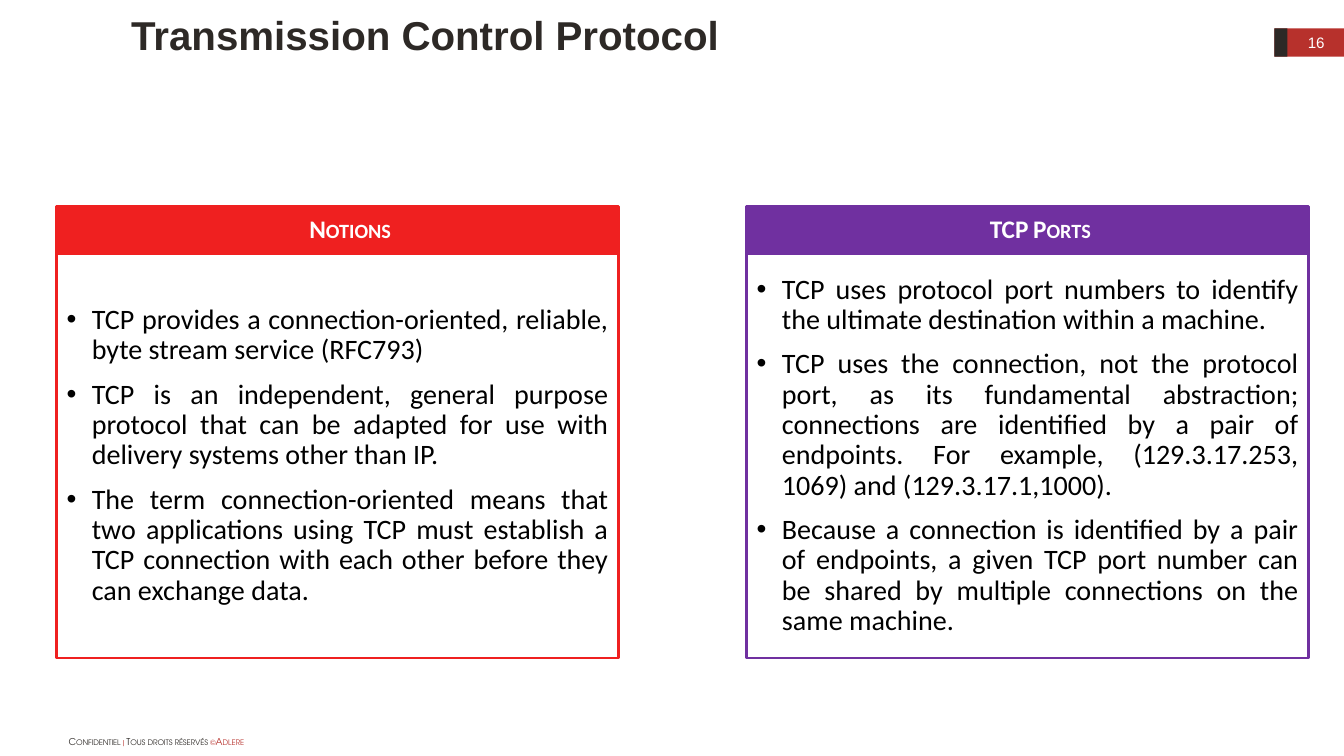
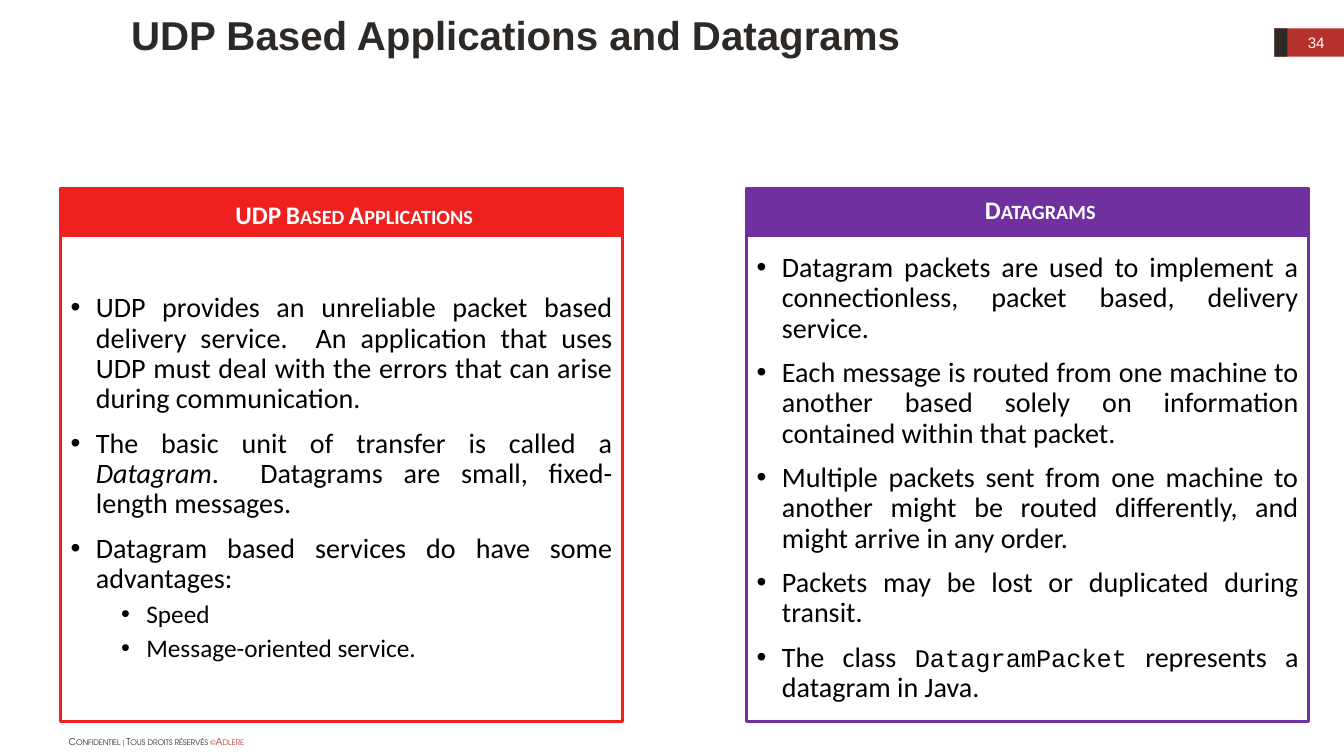
from dataclasses import dataclass

from lxml import etree
from pptx import Presentation, util as u
from pptx.dml.color import RGBColor
from pptx.enum import shapes, text
from pptx.oxml.ns import qn


@dataclass(frozen=True)
class Theme:
    red: str = "EF2020"
    purple: str = "7030A0"
    brick: str = "B7312C"
    ink: str = "2D2926"
    white: str = "FFFFFF"
    black: str = "000000"
    title_font: str = "Arial"
    body_font: str = "Calibri"
    code_font: str = "Courier New"
    footer_font: str = "TeX Gyre Adventor"
    title_size: float = 28.7
    number_size: float = 10.8
    footer_size: float = 6.7
    body_size: float = 20
    small_size: float = 18


THEME = Theme()
SLIDE_WIDTH, SLIDE_HEIGHT = u.Inches(13.3), u.Inches(7.48)
HEADER_HEIGHT = 6.28


@dataclass(frozen=True)
class Area:
    """A rectangle in percent of the slide's width and height."""
    left: float
    top: float
    width: float
    height: float

    def lengths(self) -> tuple[int, int, int, int]:
        return (round(SLIDE_WIDTH * self.left / 100), round(SLIDE_HEIGHT * self.top / 100),
                round(SLIDE_WIDTH * self.width / 100), round(SLIDE_HEIGHT * self.height / 100))


@dataclass(frozen=True)
class Style:
    font: str
    size: float
    color: str
    bold: bool = False
    italic: bool = False
    small_caps: bool = False


@dataclass(frozen=True)
class Span:
    words: str
    style: Style


TITLE = Style(THEME.title_font, THEME.title_size, THEME.ink, bold=True)
NUMBER = Style(THEME.title_font, THEME.number_size, THEME.white)
HEADER = Style(THEME.body_font, THEME.small_size, THEME.white, bold=True, small_caps=True)
BODY = Style(THEME.body_font, THEME.body_size, THEME.black)
TERM = Style(THEME.body_font, THEME.body_size, THEME.black, italic=True)
SUB_BODY = Style(THEME.body_font, THEME.small_size, THEME.black)
CODE = Style(THEME.code_font, THEME.small_size, THEME.black)
FOOTER_INK = Style(THEME.footer_font, THEME.footer_size, THEME.ink, small_caps=True)
FOOTER_RED = Style(THEME.footer_font, THEME.footer_size, THEME.brick, small_caps=True)

FOOTER = (Span("Confidentiel ", FOOTER_INK), Span("| ", FOOTER_RED),
          Span("Tous droits réservés ", FOOTER_INK), Span("©Adlere", FOOTER_RED))


@dataclass(frozen=True)
class Bullet:
    spans: tuple[Span, ...]
    level: int = 0


@dataclass(frozen=True)
class Panel:
    header: str
    color: str
    left: float
    bullets: tuple[Bullet, ...]
    header_height: float = HEADER_HEIGHT


@dataclass(frozen=True)
class Page:
    title: str
    number: int
    top: float
    body_height: float
    panels: tuple[Panel, ...]


def point(words: str) -> Bullet:
    return Bullet((Span(words, BODY),))


def sub_point(words: str) -> Bullet:
    return Bullet((Span(words, SUB_BODY),), level=1)


PAGES = (
    Page("Transmission Control Protocol", 16, 27.27, 53.48, (
        Panel("Notions", THEME.red, 4.21, (
            point("TCP provides a connection-oriented, reliable, byte stream service (RFC793)"),
            point("TCP is an independent, general purpose protocol that can be adapted for use "
                  "with delivery systems other than IP."),
            point("The term connection-oriented means that two applications using TCP must "
                  "establish a TCP connection with each other before they can exchange data."),
        )),
        Panel("TCP Ports", THEME.purple, 55.56, (
            point("TCP uses protocol port numbers to identify the ultimate destination within "
                  "a machine."),
            point("TCP uses the connection, not the protocol port, as its fundamental "
                  "abstraction; connections are identified by a pair of endpoints. For example, "
                  "(129.3.17.253, 1069) and (129.3.17.1,1000)."),
            point("Because a connection is identified by a pair of endpoints, a given TCP port "
                  "number can be shared by multiple connections on the same machine."),
        )),
    )),
    Page("UDP Based Applications and Datagrams", 34, 24.87, 64.3, (
        Panel("UDP Based Applications", THEME.red, 4.51, (
            point("UDP provides an unreliable packet based delivery service.  An application "
                  "that uses UDP must deal with the errors that can arise during "
                  "communication."),
            Bullet((Span("The basic unit of transfer is called a ", BODY),
                    Span("Datagram", TERM),
                    Span(".  Datagrams are small, fixed-length messages.", BODY))),
            point("Datagram based services do have some advantages:"),
            sub_point("Speed"),
            sub_point("Message-oriented service."),
        ), header_height=7.62),
        Panel("Datagrams", THEME.purple, 55.56, (
            point("Datagram packets are used to implement a connectionless, packet based, "
                  "delivery service."),
            point("Each message is routed from one machine to another based solely on "
                  "information contained within that packet."),
            point("Multiple packets sent from one machine to another might be routed "
                  "differently, and might arrive in any order."),
            point("Packets may be lost or duplicated during transit."),
            Bullet((Span("The class ", BODY), Span("DatagramPacket", CODE),
                    Span(" represents a datagram in Java.", BODY))),
        )),
    )),
)


def add_spans(para, spans: tuple[Span, ...]) -> None:
    for span in spans:
        run = para.add_run()
        run.text = span.words
        style, font = span.style, run.font
        font.name, font.size = style.font, u.Pt(style.size)
        font.bold, font.italic = style.bold, style.italic
        font.color.rgb = RGBColor.from_string(style.color)
        if style.small_caps:
            run._r.get_or_add_rPr().set("cap", "small")


def add_box(slide, area: Area, spans: tuple[Span, ...], anchor=text.MSO_ANCHOR.TOP,
            align=text.PP_ALIGN.LEFT):
    box = slide.shapes.add_textbox(*area.lengths())
    frame = box.text_frame
    frame.word_wrap = True
    frame.vertical_anchor = anchor
    frame.paragraphs[0].alignment = align
    add_spans(frame.paragraphs[0], spans)
    return box


def add_rectangle(slide, area: Area, fill: str, line: str | None = None):
    box = slide.shapes.add_shape(shapes.MSO_SHAPE.RECTANGLE, *area.lengths())
    box.shadow.inherit = False
    box.fill.solid()
    box.fill.fore_color.rgb = RGBColor.from_string(fill)
    if line:
        box.line.color.rgb = RGBColor.from_string(line)
        box.line.width = u.Pt(2)
    else:
        box.line.fill.background()
    return box


def set_insets(frame, left: float, top: float, right: float, bottom: float) -> None:
    frame.margin_left, frame.margin_top = u.Inches(left), u.Inches(top)
    frame.margin_right, frame.margin_bottom = u.Inches(right), u.Inches(bottom)


def add_bullet(para, bullet: Bullet, first: bool) -> None:
    para.level = bullet.level
    para.alignment = text.PP_ALIGN.JUSTIFY
    para.line_spacing = 0.9
    para.space_before = u.Pt(0 if first else 5 if bullet.level else 10)
    properties = para._p.get_or_add_pPr()
    properties.set("marL", str(u.Inches(0.25 + 0.5 * bullet.level)))
    properties.set("indent", str(u.Inches(-0.25)))
    etree.SubElement(properties, qn("a:buFont")).set("typeface", THEME.title_font)
    etree.SubElement(properties, qn("a:buChar")).set("char", "•")
    add_spans(para, bullet.spans)


def add_panel(slide, panel: Panel, top: float, body_height: float) -> None:
    width = 41.8
    header = add_rectangle(slide, Area(panel.left, top, width, panel.header_height),
                           panel.color, panel.color).text_frame
    header.word_wrap = True
    header.vertical_anchor = text.MSO_ANCHOR.MIDDLE
    set_insets(header, 0.35, 0, 0.1, 0)
    header.paragraphs[0].alignment = text.PP_ALIGN.CENTER
    header.paragraphs[0].line_spacing = 0.9
    add_spans(header.paragraphs[0], (Span(panel.header, HEADER),))

    body = add_rectangle(slide, Area(panel.left, top + HEADER_HEIGHT, width, body_height),
                         THEME.white, panel.color).text_frame
    body.word_wrap = True
    body.vertical_anchor = text.MSO_ANCHOR.MIDDLE
    set_insets(body, 0.1, 0.1, 0.1, 0.1)
    for index, bullet in enumerate(panel.bullets):
        para = body.add_paragraph() if index else body.paragraphs[0]
        add_bullet(para, bullet, first=index == 0)


def add_frame(slide, page: Page) -> None:
    """Draw the number band, footer and title that every slide has."""
    add_rectangle(slide, Area(94.81, 3.74, 5.19, 3.74), THEME.brick)
    add_rectangle(slide, Area(94.81, 3.74, 0.98, 3.74), THEME.ink)
    footer = add_box(slide, Area(4.36, 96.66, 23.68, 2.81), FOOTER)
    footer.text_frame.auto_size = text.MSO_AUTO_SIZE.SHAPE_TO_FIT_TEXT
    add_box(slide, Area(9.02, 2.14, 83.08, 6.28), (Span(page.title, TITLE),),
            text.MSO_ANCHOR.BOTTOM)
    add_box(slide, Area(95.86, 3.74, 4.14, 3.74), (Span(str(page.number), NUMBER),),
            text.MSO_ANCHOR.MIDDLE, text.PP_ALIGN.CENTER)


def main() -> None:
    deck = Presentation()
    deck.slide_width, deck.slide_height = SLIDE_WIDTH, SLIDE_HEIGHT
    for page in PAGES:
        slide = deck.slides.add_slide(deck.slide_layouts[6])
        add_frame(slide, page)
        for panel in page.panels:
            add_panel(slide, panel, page.top, page.body_height)
    deck.save("out.pptx")


if __name__ == "__main__":
    main()
